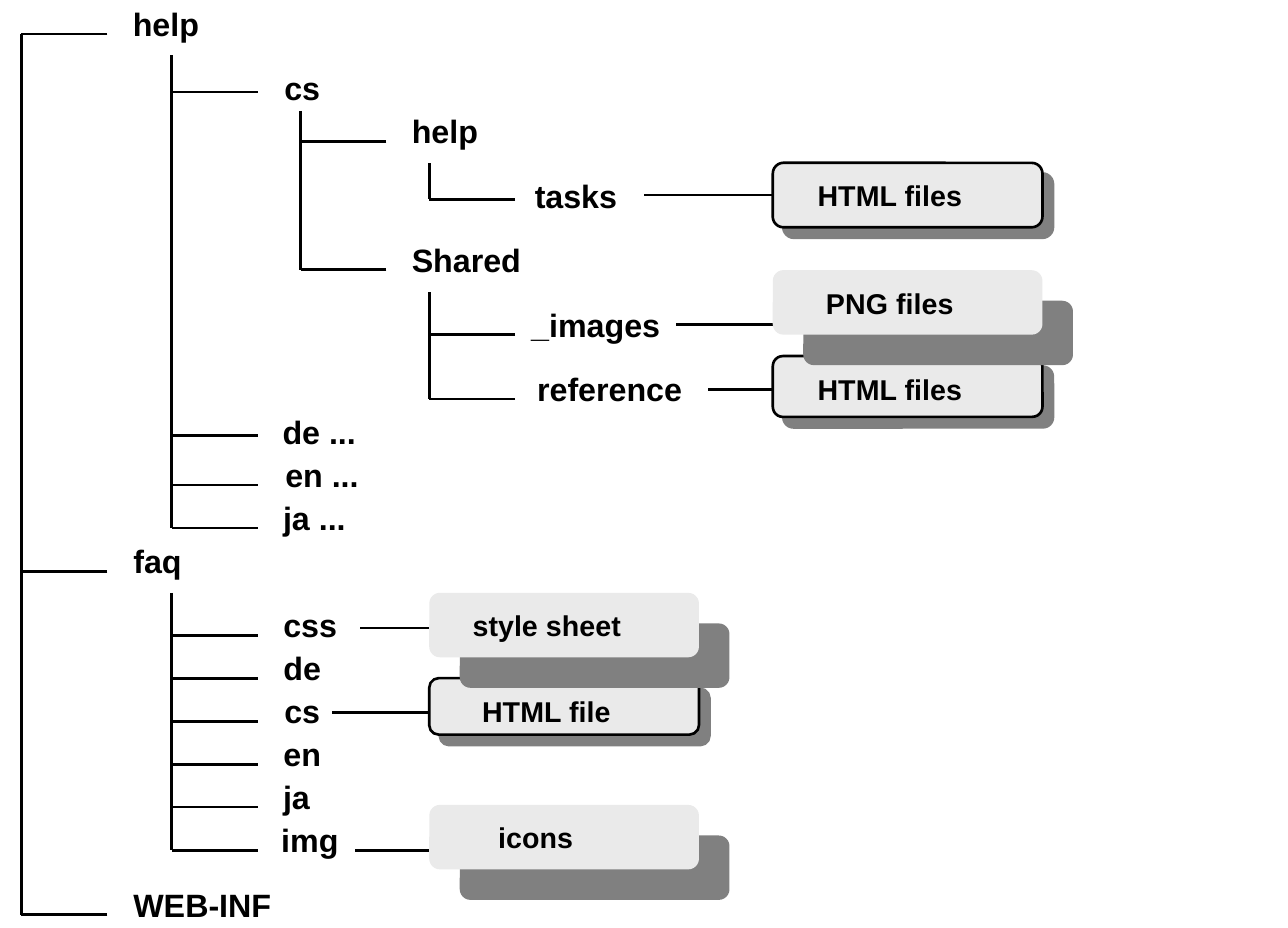
from dataclasses import dataclass

from lxml.etree import SubElement
from pptx import Presentation
from pptx.dml.color import RGBColor
from pptx.enum.shapes import MSO_CONNECTOR, MSO_SHAPE
from pptx.enum.text import MSO_AUTO_SIZE, PP_ALIGN
from pptx.oxml.ns import qn
from pptx.shapes.autoshape import Shape
from pptx.shapes.connector import Connector
from pptx.slide import Slide
from pptx.util import Emu, Pt

EMU_PER_PX = 1587.5  # 576 px to the inch
COLORS = {"ink": "000000", "card": "EAEAEA", "shadow": "808080"}
FONT = "Arial"
LINE_WIDTH = Pt(0.75)
ROW_HEIGHT = 48
FIRST_ROW_TOP = -19
FOLDER_HEIGHT = 144
RUNG_LENGTH = 192
CAPTION_HEIGHT = 138
CAPTION_OFFSET = 6
CARD_WIDTH = 603
LEFT_SIDE = 1


@dataclass(frozen=True)
class Folder:
    name: str
    row: int
    left: int
    width: int
    rung_y: int


@dataclass(frozen=True)
class Branch:
    trunk_x: int
    top: int
    folders: tuple[Folder, ...]


@dataclass(frozen=True)
class Card:
    caption: str
    left: int
    top: int
    height: int
    caption_left: int
    caption_width: int
    leader_start: int
    leader_y: int
    leader_length: int = 504
    outlined: bool = False
    grouped: bool = False


BRANCHES = (
    Branch(48, 76, (
        Folder("help", 0, 236, 270, 76),
        Folder("faq", 25, 236, 232, 1277),
        Folder("WEB-INF", 41, 236, 432, 2044),
    )),
    Branch(384, 124, (
        Folder("cs", 3, 574, 204, 206),
        Folder("de ...", 19, 572, 284, 974),
        Folder("en ...", 21, 578, 284, 1084),
        Folder("ja ...", 23, 572, 262, 1180),
    )),
    Branch(672, 248, (
        Folder("help", 5, 860, 270, 316),
        Folder("Shared", 11, 860, 366, 603),
    )),
    Branch(960, 365, (
        Folder("tasks", 8, 1134, 308, 446),
    )),
    Branch(960, 653, (
        Folder("_images", 14, 1126, 412, 748),
        Folder("reference", 17, 1140, 446, 892),
    )),
    Branch(384, 1325, (
        Folder("css", 28, 572, 244, 1421),
        Folder("de", 30, 574, 204, 1517),
        Folder("cs", 32, 574, 204, 1612),
        Folder("en", 34, 574, 204, 1709),
        Folder("ja", 36, 572, 182, 1804),
        Folder("img", 38, 568, 250, 1901),
    )),
)

# A leader that ends on the card's edge is joined to it; the others run on beneath the card.
CARDS = (
    Card("HTML files", 1728, 364, 144, 1767, 446, 1440, 436, 288, outlined=True, grouped=True),
    Card("HTML files", 1728, 796, 136, 1767, 446, 1584, 871, outlined=True, grouped=True),
    Card("PNG files", 1728, 604, 144, 1787, 406, 1512, 725),
    Card("HTML file", 960, 1516, 126, 1016, 412, 742, 1592, outlined=True, grouped=True),
    Card("style sheet", 960, 1325, 144, 997, 452, 805, 1404, grouped=True),
    Card("icons", 960, 1799, 144, 1053, 290, 794, 1901),
)


def px(length: int) -> Emu:
    return Emu(int(length * EMU_PER_PX))


def color(key: str) -> RGBColor:
    return RGBColor.from_string(COLORS[key])


def add_line(slide: Slide, x1: int, y1: int, x2: int, y2: int) -> Connector:
    line = slide.shapes.add_connector(
        MSO_CONNECTOR.STRAIGHT, px(x1), px(y1), px(x2), px(y2))
    line.line.color.rgb = color("ink")
    line.line.width = LINE_WIDTH
    SubElement(line._element.spPr, qn("a:effectLst"))
    return line


def add_label(shapes, text: str, left: int, top: int, width: int, height: int, size: int) -> None:
    label = shapes.add_textbox(px(left), px(top), px(width), px(height))
    frame = label.text_frame
    frame.word_wrap = False
    frame.auto_size = MSO_AUTO_SIZE.SHAPE_TO_FIT_TEXT
    paragraph = frame.paragraphs[0]
    paragraph.alignment = PP_ALIGN.CENTER
    run = paragraph.add_run()
    run.text = text
    run.font.name = FONT
    run.font.size = Pt(size)
    run.font.bold = True
    run.font.color.rgb = color("ink")


def add_shadow(shape: Shape, distance: Emu) -> None:
    """Cast a hard shadow down and to the right."""
    shape.shadow.inherit = False
    effects = shape._element.spPr.find(qn("a:effectLst"))
    shadow = SubElement(effects, qn("a:outerShdw"), blurRad="0", dist=str(int(distance)),
                        dir="2700000", algn="ctr", rotWithShape="0")
    SubElement(shadow, qn("a:srgbClr"), val=COLORS["shadow"])


def draw_branch(slide: Slide, branch: Branch) -> None:
    """Draw a trunk down to its last folder, and a rung and a label for each folder."""
    trunk_x = branch.trunk_x
    add_line(slide, trunk_x, branch.top, trunk_x, branch.folders[-1].rung_y)
    for folder in branch.folders:
        add_line(slide, trunk_x + RUNG_LENGTH, folder.rung_y, trunk_x, folder.rung_y)
        add_label(slide.shapes, folder.name, folder.left,
                  FIRST_ROW_TOP + folder.row * ROW_HEIGHT, folder.width, FOLDER_HEIGHT, 9)


def draw_card(slide: Slide, card: Card) -> None:
    leader_end = card.leader_start + card.leader_length
    leader = add_line(slide, leader_end, card.leader_y, card.leader_start, card.leader_y)
    shapes = slide.shapes.add_group_shape().shapes if card.grouped else slide.shapes
    body = shapes.add_shape(MSO_SHAPE.ROUNDED_RECTANGLE, px(card.left), px(card.top),
                            px(CARD_WIDTH), px(card.height))
    body.fill.solid()
    body.fill.fore_color.rgb = color("card")
    if card.outlined:
        body.line.color.rgb = color("ink")
        body.line.width = LINE_WIDTH
    else:
        body.line.fill.background()
    add_shadow(body, Pt(4.2) if card.outlined else Pt(12.1))
    add_label(shapes, card.caption, card.caption_left, card.top + CAPTION_OFFSET,
              card.caption_width, CAPTION_HEIGHT, 8)
    if leader_end == card.left:
        leader.begin_connect(body, LEFT_SIDE)


def main() -> None:
    presentation = Presentation()
    presentation.slide_width = px(2880)
    presentation.slide_height = px(2074)
    slide = presentation.slides.add_slide(presentation.slide_layouts[6])
    for branch in BRANCHES:
        draw_branch(slide, branch)
    for card in CARDS:
        draw_card(slide, card)
    presentation.save("out.pptx")


if __name__ == "__main__":
    main()
